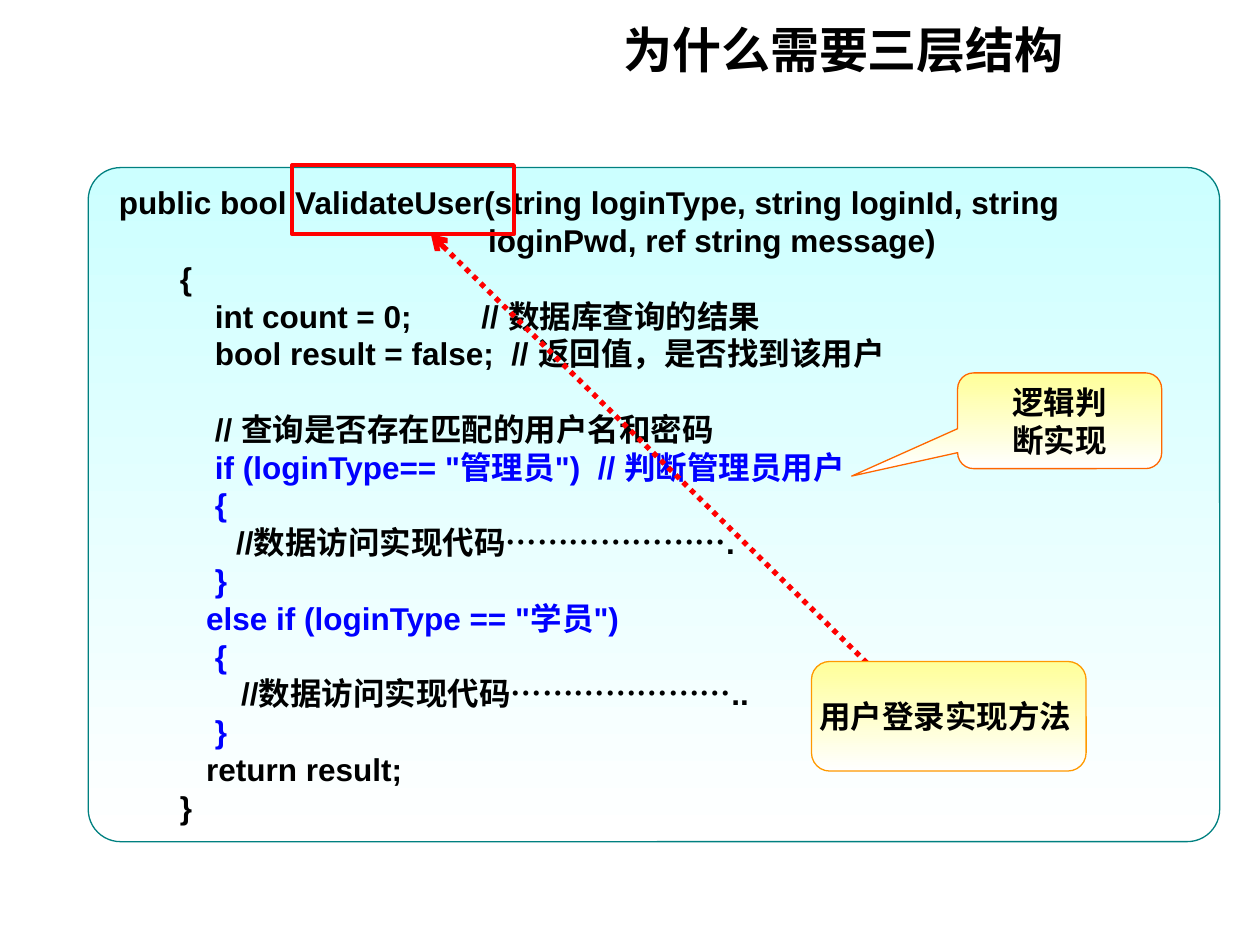
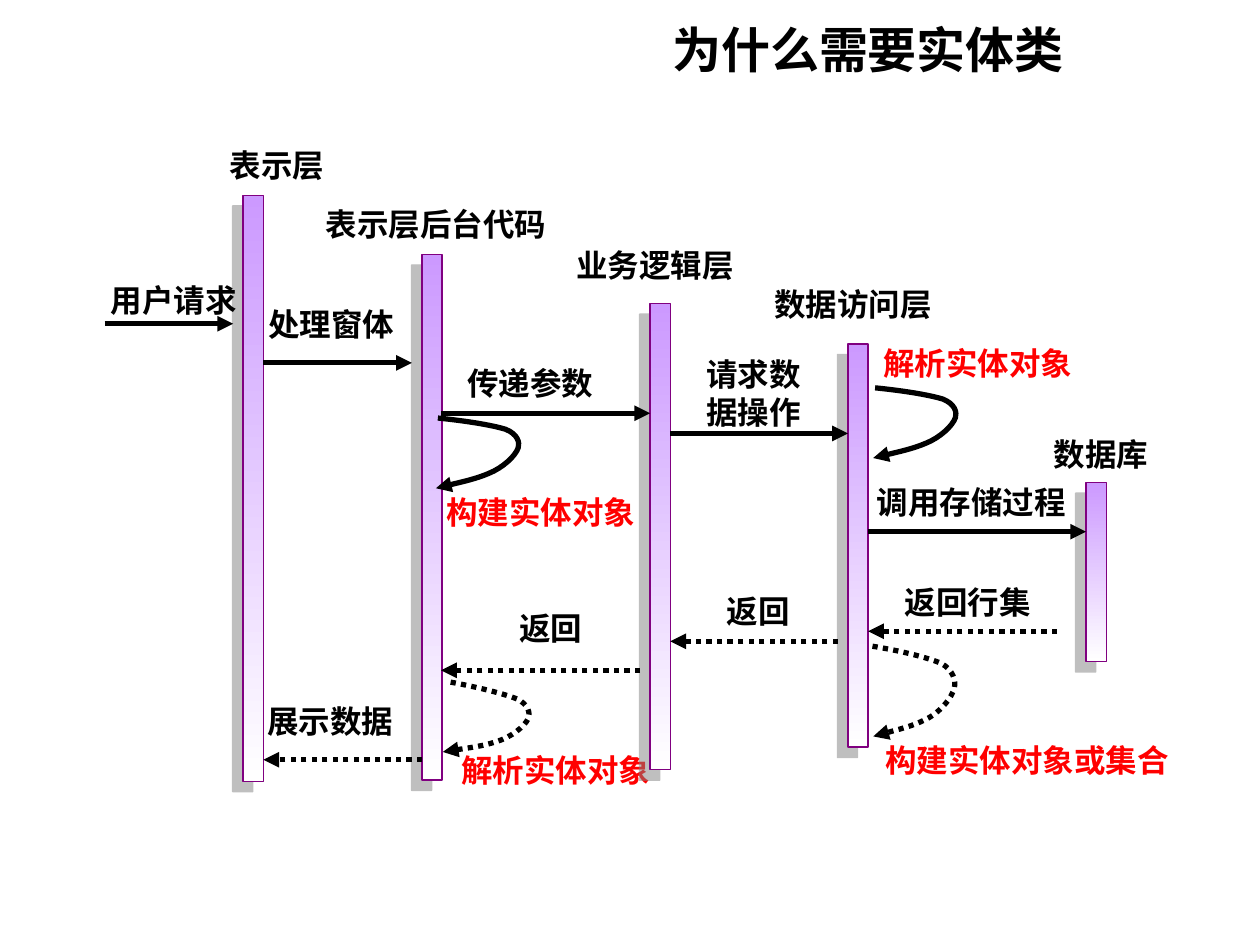
"""Build two slides on three-layer architecture and entity classes."""
from dataclasses import dataclass

from lxml import etree
from pptx import Presentation
from pptx.dml.color import RGBColor
from pptx.enum.dml import MSO_LINE
from pptx.enum.shapes import MSO_CONNECTOR, MSO_SHAPE
from pptx.enum.text import MSO_ANCHOR, PP_ALIGN
from pptx.oxml.ns import qn
from pptx.util import Inches, Pt

RECT = MSO_SHAPE.RECTANGLE
ROUNDED = MSO_SHAPE.ROUNDED_RECTANGLE
CALLOUT = MSO_SHAPE.ROUNDED_RECTANGULAR_CALLOUT
STRAIGHT = MSO_CONNECTOR.STRAIGHT
DOTTED = MSO_LINE.ROUND_DOT
LEFT, CENTER, RIGHT = PP_ALIGN.LEFT, PP_ALIGN.CENTER, PP_ALIGN.RIGHT
TOP, MIDDLE = MSO_ANCHOR.TOP, MSO_ANCHOR.MIDDLE

LATIN, CJK = "Arial", "Noto Sans CJK SC"
COLORS = {
    "black": "000000", "white": "FFFFFF", "red": "FF0000", "blue": "0000FF",
    "cyan": "CCFFFF", "teal": "008080", "yellow": "FFFF99", "orange": "FF6600",
    "amber": "FF9900", "lilac": "CC99FF", "purple": "800080", "gray": "808080",
}
BAR_WIDTH = 0.16
CHAR_WIDTH, LABEL_PADDING, LABEL_HEIGHT = 0.25, 0.3, 0.47
LOOP_START = (9, 0)
LOOP_POINTS = [
    (30, 5), (50, 11), (61, 16), (70, 21), (71, 28), (69, 32),
    (66, 38), (55, 46), (43, 49), (32, 52), (9, 54), (0, 55),
]


@dataclass
class CodeLine:
    text: str
    color: str = "black"
    gap: float = 0


@dataclass
class Label:
    text: str
    center_x: float
    center_y: float
    color: str = "black"


@dataclass
class Bar:
    x: float
    y: float
    h: float


@dataclass
class Arrow:
    x1: float
    x2: float
    y: float
    dotted: bool = False


@dataclass
class Loop:
    x: float
    y: float
    h: float = 0.55
    angle: float = -7.7
    dotted: bool = False


CODE = [
    CodeLine(" public bool ValidateUser(string loginType, string loginId, string"),
    CodeLine("\t\t\tloginPwd, ref string message)"),
    CodeLine("        {"),
    CodeLine("            int count = 0;        // 数据库查询的结果"),
    CodeLine("            bool result = false;  // 返回值，是否找到该用户"),
    CodeLine("            // 查询是否存在匹配的用户名和密码", gap=21.5),
    CodeLine("            if (loginType== \"管理员\")  // 判断管理员用户", "blue"),
    CodeLine("            {", "blue"),
    CodeLine("\t//数据访问实现代码…………………."),
    CodeLine("            }", "blue"),
    CodeLine("           else if (loginType == \"学员\")", "blue"),
    CodeLine("            {", "blue"),
    CodeLine("               //数据访问实现代码………………….."),
    CodeLine("            }", "blue"),
    CodeLine("           return result;"),
    CodeLine("        }"),
]
BACK_LABELS = [
    Label("解析实体对象", 4.41, 6.11, "red"),
    Label("构建实体对象", 4.29, 4.06, "red"),
    Label("返回行集", 7.68, 4.78),
]
BARS = [
    Bar(1.93, 1.55, 4.65), Bar(3.35, 2.02, 4.17), Bar(5.16, 2.41, 3.7),
    Bar(6.73, 2.73, 3.2), Bar(8.62, 3.83, 1.42),
]
ARROWS = [
    Arrow(0.83, 1.85, 2.57), Arrow(2.09, 3.27, 2.88), Arrow(3.5, 5.16, 3.28),
    Arrow(5.32, 6.73, 3.44), Arrow(6.89, 8.62, 4.22),
    Arrow(8.39, 6.89, 5.01, True), Arrow(6.65, 5.32, 5.09, True),
    Arrow(5.08, 3.5, 5.32, True), Arrow(3.35, 2.09, 6.03, True),
]
LOOPS = [
    Loop(3.42, 3.28), Loop(6.89, 3.04), Loop(6.88, 5.09, h=0.71, dotted=True),
    Loop(3.5, 5.4, angle=-2.9, dotted=True),
]
LABELS = [
    Label("表示层", 2.2, 1.31),
    Label("表示层后台代码", 3.46, 1.78),
    Label("业务逻辑层", 5.2, 2.1),
    Label("数据访问层", 6.77, 2.41),
    Label("数据库", 8.74, 3.6),
    Label("用户请求", 1.38, 2.38),
    Label("处理窗体", 2.63, 2.57),
    Label("传递参数", 4.21, 3.04),
    Label("请求数\n据操作", 5.98, 3.12),
    Label("调用存储过程", 7.71, 3.98),
    Label("返回", 6.02, 4.85),
    Label("返回", 4.37, 4.98),
    Label("展示数据", 2.62, 5.72),
    Label("解析实体对象", 7.76, 2.88, "red"),
    Label("构建实体对象或集合", 8.15, 6.03, "red"),
]


def rgb(name: str) -> RGBColor:
    return RGBColor.from_string(COLORS[name])


def add_text(tf, text: str, *, size: float = 18, font: str = LATIN, color: str = "black",
             align=CENTER, anchor=MIDDLE, wrap: bool = False, gap: float = 0,
             tabs: tuple = ()) -> None:
    tf.word_wrap = wrap
    tf.vertical_anchor = anchor
    for line in text.split("\n"):
        p = tf.paragraphs[0]
        if p.runs:
            p = tf.add_paragraph()
        if tabs:
            stops = etree.SubElement(p._p.get_or_add_pPr(), qn("a:tabLst"))
            for stop in tabs:
                etree.SubElement(stops, qn("a:tab"), pos=str(Inches(stop)), algn="l")
        p.alignment = align
        if gap:
            p.space_before = Pt(gap)
        r = p.add_run()
        r.text = line
        r.font.size = Pt(size)
        r.font.bold = True
        r.font.name = font
        r.font.color.rgb = rgb(color)
        etree.SubElement(r._r.get_or_add_rPr(), qn("a:ea"), typeface=CJK)


def add_box(slide, kind, x: float, y: float, w: float, h: float, *, line: str,
            fill: str = "", width: float = 0.75, adjust: tuple = ()):
    sp = slide.shapes.add_shape(kind, Inches(x), Inches(y), Inches(w), Inches(h))
    sp.shadow.inherit = False
    for i, value in enumerate(adjust):
        sp.adjustments[i] = value
    if fill:
        sp.fill.gradient()
        sp.fill.gradient_angle = 270
        for stop, name in zip(sp.fill.gradient_stops, (fill, "white")):
            stop.color.rgb = rgb(name)
    else:
        sp.fill.background()
    sp.line.color.rgb = rgb(line)
    sp.line.width = Pt(width)
    return sp


def style_arrow(sp, color: str, dotted: bool, head: str) -> None:
    sp.line.color.rgb = rgb(color)
    sp.line.width = Pt(3)
    if dotted:
        sp.line.dash_style = DOTTED
    etree.SubElement(sp.line._get_or_add_ln(), qn("a:tailEnd"), type=head)


def add_arrow(slide, x1: float, y1: float, x2: float, y2: float, *, color: str = "black",
              dotted: bool = False, head: str = "triangle") -> None:
    sp = slide.shapes.add_connector(STRAIGHT, Inches(x1), Inches(y1), Inches(x2), Inches(y2))
    style_arrow(sp, color, dotted, head)
    etree.SubElement(sp._element.spPr, qn("a:effectLst"))


def add_loop(slide, loop: Loop) -> None:
    builder = slide.shapes.build_freeform(*LOOP_START)
    builder.add_line_segments(LOOP_POINTS, close=False)
    sp = builder.convert_to_shape()
    curve = next(sp._element.iter(qn("a:path")))
    segments = curve.findall(qn("a:lnTo"))
    for i in range(0, len(segments), 3):
        bezier = etree.SubElement(curve, qn("a:cubicBezTo"))
        for segment in segments[i:i + 3]:
            bezier.append(segment[0])
            curve.remove(segment)
    sp.left, sp.top = Inches(loop.x), Inches(loop.y)
    sp.width, sp.height = Inches(0.71), Inches(loop.h)
    sp.rotation = loop.angle
    sp.shadow.inherit = False
    sp.fill.background()
    style_arrow(sp, "black", loop.dotted, "triangle")


def add_bar(slide, bar: Bar) -> None:
    sp = add_box(slide, RECT, bar.x, bar.y, BAR_WIDTH, bar.h, fill="lilac", line="purple")
    effects = sp._element.spPr.find(qn("a:effectLst"))
    shadow = etree.SubElement(effects, qn("a:outerShdw"), dist=str(Pt(8.5)),
                              dir=str(135 * 60000), algn="ctr", rotWithShape="0")
    tint = etree.SubElement(shadow, qn("a:srgbClr"), val=COLORS["gray"])
    etree.SubElement(tint, qn("a:alpha"), val="50000")


def add_label(slide, label: Label) -> None:
    width = CHAR_WIDTH * max(map(len, label.text.split("\n"))) + LABEL_PADDING
    sp = slide.shapes.add_textbox(Inches(label.center_x - width / 2),
                                  Inches(label.center_y - LABEL_HEIGHT / 2),
                                  Inches(width), Inches(LABEL_HEIGHT))
    add_text(sp.text_frame, label.text, font=CJK, color=label.color)


def add_title(slide, text: str) -> None:
    sp = slide.shapes.add_textbox(Inches(-0.2), Inches(-0.22), Inches(8.74), Inches(1.21))
    add_text(sp.text_frame, text, size=28, align=RIGHT, wrap=True)


def build_code_slide(slide) -> None:
    add_title(slide, "为什么需要三层结构")
    panel = add_box(slide, ROUNDED, 0.7, 1.33, 8.98, 5.35, fill="cyan", line="teal",
                    adjust=(0.048,))
    for line in CODE:
        add_text(panel.text_frame, line.text, color=line.color, align=LEFT, anchor=TOP,
                 wrap=True, gap=line.gap, tabs=(1, 2, 3))
    logic = add_box(slide, CALLOUT, 7.6, 2.96, 1.62, 0.76, fill="yellow", line="orange",
                    adjust=(-1.019, 0.578, 0.167))
    add_text(logic.text_frame, "逻辑判\n断实现")
    add_box(slide, RECT, 2.32, 1.31, 1.76, 0.55, line="red", width=2.25)
    add_arrow(slide, 6.94, 5.32, 3.42, 1.86, color="red", dotted=True, head="arrow")
    method = add_box(slide, ROUNDED, 6.44, 5.25, 2.18, 0.87, fill="yellow", line="amber",
                     adjust=(0.167,))
    add_text(method.text_frame, "用户登录实现方法 ")


def build_sequence_slide(slide) -> None:
    for label in BACK_LABELS:
        add_label(slide, label)
    add_title(slide, "为什么需要实体类")
    for bar in BARS:
        add_bar(slide, bar)
    for arrow in ARROWS:
        add_arrow(slide, arrow.x1, arrow.y, arrow.x2, arrow.y, dotted=arrow.dotted)
    for loop in LOOPS:
        add_loop(slide, loop)
    for label in LABELS:
        add_label(slide, label)


def main() -> None:
    prs = Presentation()
    prs.slide_width, prs.slide_height = Inches(10), Inches(7.5)
    for build in (build_code_slide, build_sequence_slide):
        build(prs.slides.add_slide(prs.slide_layouts[6]))
    prs.save("out.pptx")


if __name__ == "__main__":
    main()
